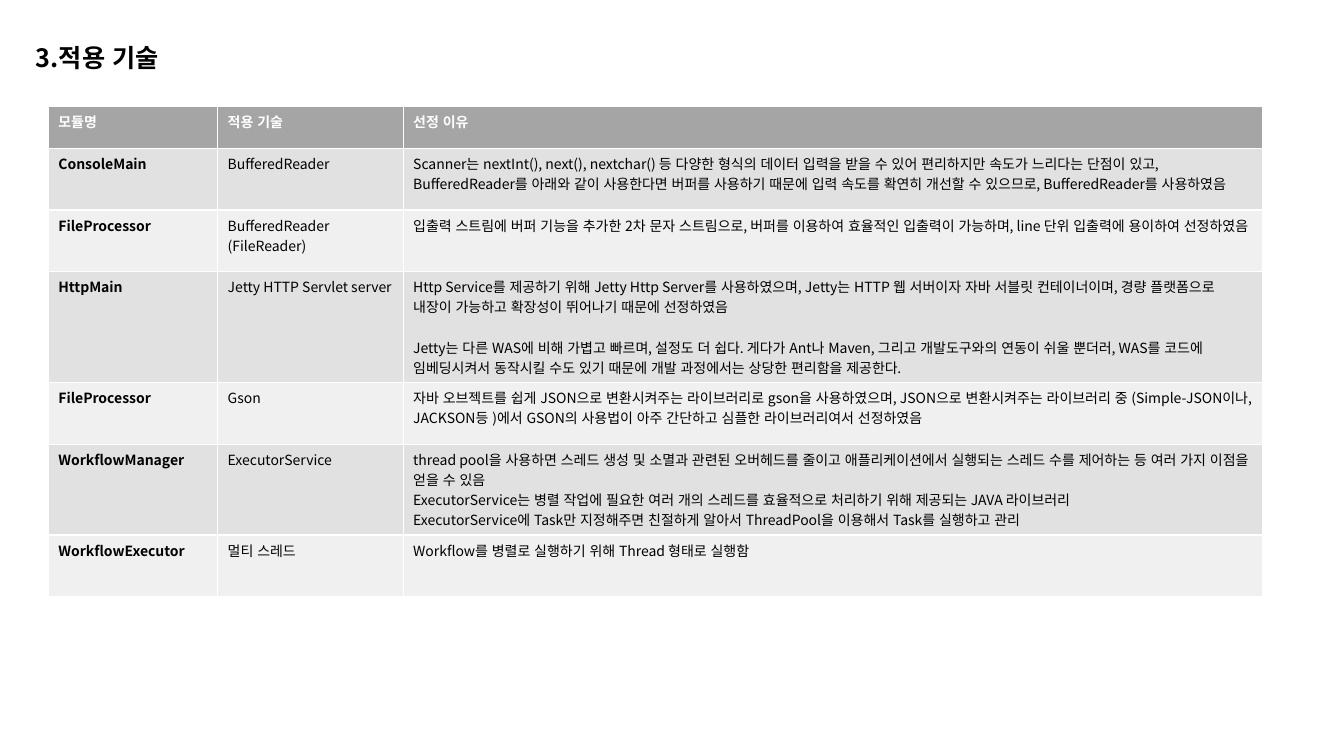
from lxml import etree
from pptx import Presentation
from pptx.dml.color import RGBColor
from pptx.enum import lang, text
from pptx.oxml import ns
from pptx.util import Pt

FONT = "Noto Sans CJK KR"
BLACK = RGBColor(0, 0, 0)
WHITE = RGBColor(255, 255, 255)
HEAD = RGBColor(0xA5, 0xA5, 0xA5)
BANDS = [RGBColor(0xE1, 0xE1, 0xE1), RGBColor(0xF0, 0xF0, 0xF0)]
COLS = [121, 132.5, 614]
HEAD_H, ROW_H = 30, 44
GAP = 14.5

ROWS = [
    ("모듈명", ["적용 기술"], ["선정 이유"]),
    ("ConsoleMain", ["BufferedReader"], [
        "Scanner는 nextInt(), next(), nextchar() 등 다양한 형식의 데이터 입력을 받을 수 있어 "
        "편리하지만 속도가 느리다는 단점이 있고, BufferedReader를 아래와 같이 사용한다면 버퍼를 "
        "사용하기 때문에 입력 속도를 확연히 개선할 수 있으므로, BufferedReader를 사용하였음"]),
    ("FileProcessor", ["BufferedReader", "(FileReader)"], [
        "입출력 스트림에 버퍼 기능을 추가한 2차 문자 스트림으로, 버퍼를 이용하여 효율적인 "
        "입출력이 가능하며, line 단위 입출력에 용이하여 선정하였음"]),
    ("HttpMain", ["Jetty HTTP Servlet server"], [
        "Http Service를 제공하기 위해 Jetty Http Server를 사용하였으며, Jetty는 HTTP 웹 서버이자 "
        "자바 서블릿 컨테이너이며, 경량 플랫폼으로 내장이 가능하고 확장성이 뛰어나기 때문에 선정하였음",
        "Jetty는 다른 WAS에 비해 가볍고 빠르며, 설정도 더 쉽다. 게다가 Ant나 Maven, 그리고 "
        "개발도구와의 연동이 쉬울 뿐더러, WAS를 코드에 임베딩시켜서 동작시킬 수도 있기 때문에 "
        "개발 과정에서는 상당한 편리함을 제공한다."]),
    ("FileProcessor", ["Gson"], [
        "자바 오브젝트를 쉽게 JSON으로 변환시켜주는 라이브러리로 gson을 사용하였으며, JSON으로 "
        "변환시켜주는 라이브러리 중 (Simple-JSON이나, JACKSON등 )에서 GSON의 사용법이 아주 "
        "간단하고 심플한 라이브러리여서 선정하였음"]),
    ("WorkflowManager", ["ExecutorService"], [
        "thread pool을 사용하면 스레드 생성 및 소멸과 관련된 오버헤드를 줄이고 애플리케이션에서 "
        "실행되는 스레드 수를 제어하는 등 여러 가지 이점을 얻을 수 있음",
        "ExecutorService는 병렬 작업에 필요한 여러 개의 스레드를 효율적으로 처리하기 위해 "
        "제공되는 JAVA 라이브러리",
        "ExecutorService에 Task만 지정해주면 친절하게 알아서 ThreadPool을 이용해서 Task를 "
        "실행하고 관리"]),
    ("WorkflowExecutor", ["멀티 스레드"], [
        "Workflow를 병렬로 실행하기 위해 Thread 형태로 실행함"]),
]


def add_run(para, words, size, color, bold):
    """Add one styled run to a paragraph."""
    run = para.add_run()
    run.text = words
    font = run.font
    font.size, font.bold, font.name = Pt(size), bold, FONT
    font.color.rgb = color
    font.language_id = lang.MSO_LANGUAGE_ID.KOREAN
    etree.SubElement(run._r.rPr, ns.qn("a:ea"), typeface=FONT)


def add_title(slide, words):
    """Add the slide heading."""
    box = slide.shapes.add_textbox(Pt(18.5), Pt(16), Pt(825), Pt(36))
    frame = box.text_frame
    frame.word_wrap = True
    frame.auto_size = text.MSO_AUTO_SIZE.SHAPE_TO_FIT_TEXT
    para = frame.paragraphs[0]
    para.line_spacing = 1.5
    add_run(para, words, 18, BLACK, True)


def fill_cell(cell, lines, fill, color, bold):
    """Fill one cell with colour and paragraphs."""
    cell.fill.solid()
    cell.fill.fore_color.rgb = fill
    frame = cell.text_frame
    for i, line in enumerate(lines):
        para = frame.add_paragraph() if i else frame.paragraphs[0]
        add_run(para, line, 10, color, bold)


def add_grid(slide):
    """Add the table of modules and reasons."""
    high = HEAD_H + ROW_H * (len(ROWS) - 1)
    grid = slide.shapes.add_table(len(ROWS), len(COLS), Pt(34.5), Pt(76),
                                  Pt(sum(COLS)), Pt(high)).table
    for col, width in zip(grid.columns, COLS):
        col.width = Pt(width)
    for r, (name, tech, why) in enumerate(ROWS):
        grid.rows[r].height = Pt(ROW_H if r else HEAD_H)
        fill = BANDS[(r - 1) % 2] if r else HEAD
        for c, lines in enumerate(([name], tech, why)):
            fill_cell(grid.cell(r, c), lines, fill,
                      BLACK if r else WHITE, r == 0 or c == 0)
    grid.cell(3, 2).text_frame.paragraphs[1].space_before = Pt(GAP)


def main():
    """Build and save the slide."""
    deck = Presentation()
    deck.slide_width, deck.slide_height = Pt(960), Pt(540)
    slide = deck.slides.add_slide(deck.slide_layouts[6])
    add_grid(slide)
    add_title(slide, "3.적용 기술")
    deck.save("out.pptx")


if __name__ == "__main__":
    main()
